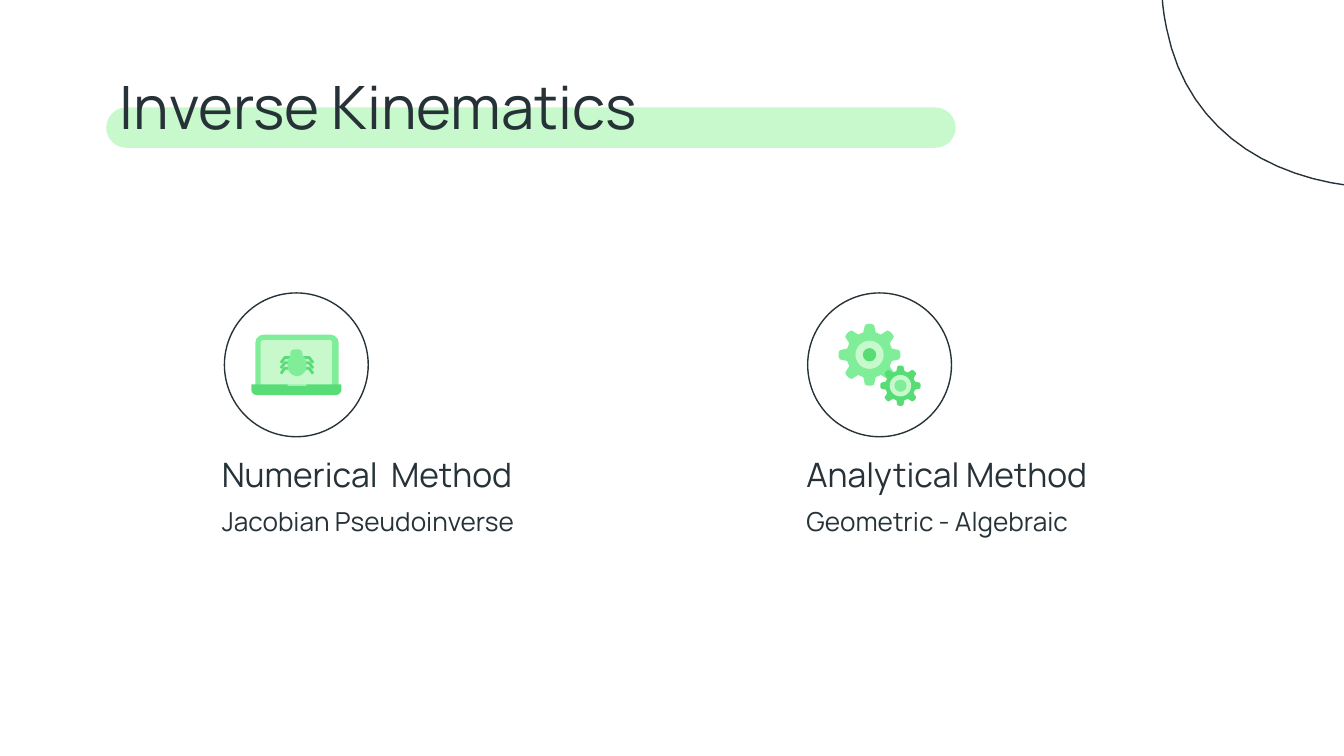
from math import cos, radians, sin

from lxml.etree import SubElement
from pptx import Presentation
from pptx.dml.color import RGBColor
from pptx.enum.shapes import MSO_SHAPE as Shape
from pptx.enum.text import MSO_ANCHOR as Anchor, MSO_AUTO_SIZE as AutoSize, PP_ALIGN as Align
from pptx.oxml.ns import qn
from pptx.util import Inches, Pt

FONT = "Manrope"
INK = "263238"
PALE, LIGHT, STRONG = "C7F9CC", "80ED99", "58DD76"

TOOTH = [(-15.5, 0.75), (-8.8, 0.97), (-3.7, 1), (3.7, 1), (8.8, 0.97), (15.5, 0.75)]

BLOB_START = (12.11, -1.85)
BLOB_CURVES = [
    [(12.03, -1.85), (11.93, -1.82), (11.83, -1.77)],
    [(11.44, -1.57), (11.41, -1.13), (10.88, -1.11)],
    [(10.83, -1.1), (10.78, -1.1), (10.73, -1.1)],
    [(10.48, -1.1), (10.24, -1.13), (10.02, -1.13)],
    [(9.75, -1.13), (9.48, -1.09), (9.18, -0.93)],
    [(8.68, -0.66), (8.58, -0.26), (8.68, 0.21)],
    [(8.84, 1.02), (9.54, 1.4), (10.34, 1.4)],
    [(10.69, 1.4), (11.05, 1.33), (11.39, 1.2)],
    [(12.49, 0.78), (13, -0.2), (12.75, -1.17)],
    [(12.68, -1.46), (12.47, -1.85), (12.11, -1.85)],
]


def color(value):
    """Turn a hex string into a colour."""
    return RGBColor.from_string(value)


def paint(shape, fill=None, line=None, width=0.75):
    """Set the fill and line of a shape and drop its shadow."""
    shape.shadow.inherit = False
    if fill:
        shape.fill.solid()
        shape.fill.fore_color.rgb = color(fill)
    else:
        shape.fill.background()
    if line:
        shape.line.color.rgb = color(line)
        shape.line.width = Pt(width)
    else:
        shape.line.fill.background()


def add_preset(shapes, kind, left, top, width, height, fill=None, line=None, corners=()):
    """Add a preset shape with optional corner adjustments."""
    shape = shapes.add_shape(kind, Inches(left), Inches(top), Inches(width), Inches(height))
    for index, corner in enumerate(corners):
        shape.adjustments[index] = corner
    paint(shape, fill, line)


def add_disc(shapes, center, size, fill=None, line=None):
    """Add a circle around a center point."""
    x, y = center
    add_preset(shapes, Shape.OVAL, x - size / 2, y - size / 2, size, size, fill, line)


def add_outline(shapes, points, fill=None, line=None, width=0.75, close=True):
    """Add a freeform through points given in inches."""
    spots = [(Inches(x), Inches(y)) for x, y in points]
    builder = shapes.build_freeform(*spots[0])
    builder.add_line_segments(spots[1:], close=close)
    paint(builder.convert_to_shape(), fill, line, width)


def curve_points(start, curves, steps=16):
    """Sample a chain of cubic curves into points."""
    points = [start]
    for first, second, end in curves:
        corners = (points[-1], first, second, end)
        for step in range(1, steps + 1):
            t = step / steps
            weights = ((1 - t) ** 3, 3 * t * (1 - t) ** 2, 3 * t ** 2 * (1 - t), t ** 3)
            points.append(tuple(sum(w * c[axis] for w, c in zip(weights, corners)) for axis in (0, 1)))
    return points


def add_gear(shapes, center, radius, fill, ring, hub):
    """Add an eight-toothed gear with a ring and a hub, each a size and fill."""
    x, y = center
    polar = [(radians(45 * tooth + angle), radius * reach) for tooth in range(8) for angle, reach in TOOTH]
    add_outline(shapes, [(x + r * sin(a), y - r * cos(a)) for a, r in polar], fill)
    add_disc(shapes, center, *ring)
    add_disc(shapes, center, *hub)


def add_gears_icon(page):
    """Add the two interlocking gears."""
    shapes = page.shapes.add_group_shape().shapes
    add_gear(shapes, (6.47, 2.64), 0.23, LIGHT, (0.21, PALE), (0.1, STRONG))
    add_gear(shapes, (6.7, 2.87), 0.15, STRONG, (0.16, PALE), (0.09, LIGHT))


def add_laptop_icon(page):
    """Add the laptop with a bug on its screen."""
    shapes = page.shapes.add_group_shape().shapes
    rounded = Shape.ROUND_2_SAME_RECTANGLE
    add_preset(shapes, rounded, 1.9, 2.49, 0.62, 0.42, LIGHT, corners=(0.14, 0))
    add_preset(shapes, rounded, 1.94, 2.53, 0.53, 0.38, PALE, corners=(0.05, 0))
    middle = 2.21
    for row in range(3):
        y = 2.66 + 0.04 * row
        for side in (-1, 1):
            leg = [(middle + side * 0.12, y + 0.04), (middle + side * 0.09, y), (middle + side * 0.02, y)]
            add_outline(shapes, leg, line=STRONG, width=1.5, close=False)
    add_preset(shapes, rounded, 2.16, 2.6, 0.09, 0.06, LIGHT, corners=(0.5, 0))
    add_preset(shapes, Shape.ROUNDED_RECTANGLE, 2.14, 2.63, 0.14, 0.17, LIGHT, corners=(0.5,))
    add_preset(shapes, rounded, 1.87, 2.86, 0.67, 0.08, STRONG, corners=(0, 0.5))
    add_preset(shapes, Shape.RECTANGLE, 2.14, 2.86, 0.14, 0.01, PALE)


def fill_placeholder(page, index, text, size, left, top, width, height):
    """Place, fill and format a placeholder, in front of earlier shapes."""
    box = page.placeholders[index]
    box.left, box.top, box.width, box.height = map(Inches, (left, top, width, height))
    page.shapes.element.append(box.element)
    frame = box.text_frame
    frame.text = text
    frame.word_wrap = True
    frame.auto_size = AutoSize.NONE
    frame.vertical_anchor = Anchor.TOP
    frame.margin_left = frame.margin_right = frame.margin_top = frame.margin_bottom = Inches(0.1)
    para = frame.paragraphs[0]
    properties = para._p.get_or_add_pPr()
    properties.set("marL", "0")
    properties.set("indent", "0")
    SubElement(properties, qn("a:buNone"))
    para.alignment = Align.LEFT
    para.space_before = Pt(0)
    span = para.runs[0]
    span.font.name = FONT
    span.font.size = Pt(size)
    span.font.bold = False
    span.font.color.rgb = color(INK)


def add_method(page, index, left, width, heading, detail, ring_x):
    """Add a method's heading, detail and icon ring."""
    fill_placeholder(page, index, heading, 18, left, 3.28, width, 0.41)
    fill_placeholder(page, index + 1, detail, 14, left, 3.66, 2.61, 0.93)
    add_preset(page.shapes, Shape.OVAL, ring_x, 2.18, 1.07, 1.07, line=INK)


def main():
    """Build the slide and save it."""
    deck = Presentation()
    deck.slide_width = Inches(10)
    deck.slide_height = deck.slide_width * 9 // 16
    page = deck.slides.add_slide(deck.slide_layouts.get_by_name("Comparison"))
    add_preset(page.shapes, Shape.ROUNDED_RECTANGLE, 0.79, 0.8, 6.32, 0.3, PALE, corners=(0.5,))
    add_outline(page.shapes, curve_points(BLOB_START, BLOB_CURVES), line=INK)
    fill_placeholder(page, 0, "Inverse Kinematics", 32, 0.79, 0.42, 8.43, 0.67)
    add_method(page, 1, 1.55, 2.82, "Numerical  Method", "Jacobian Pseudoinverse", 1.67)
    add_method(page, 3, 5.9, 3.06, "Analytical Method", "Geometric - Algebraic", 6.01)
    add_gears_icon(page)
    add_laptop_icon(page)
    deck.save("out.pptx")


if __name__ == "__main__":
    main()
